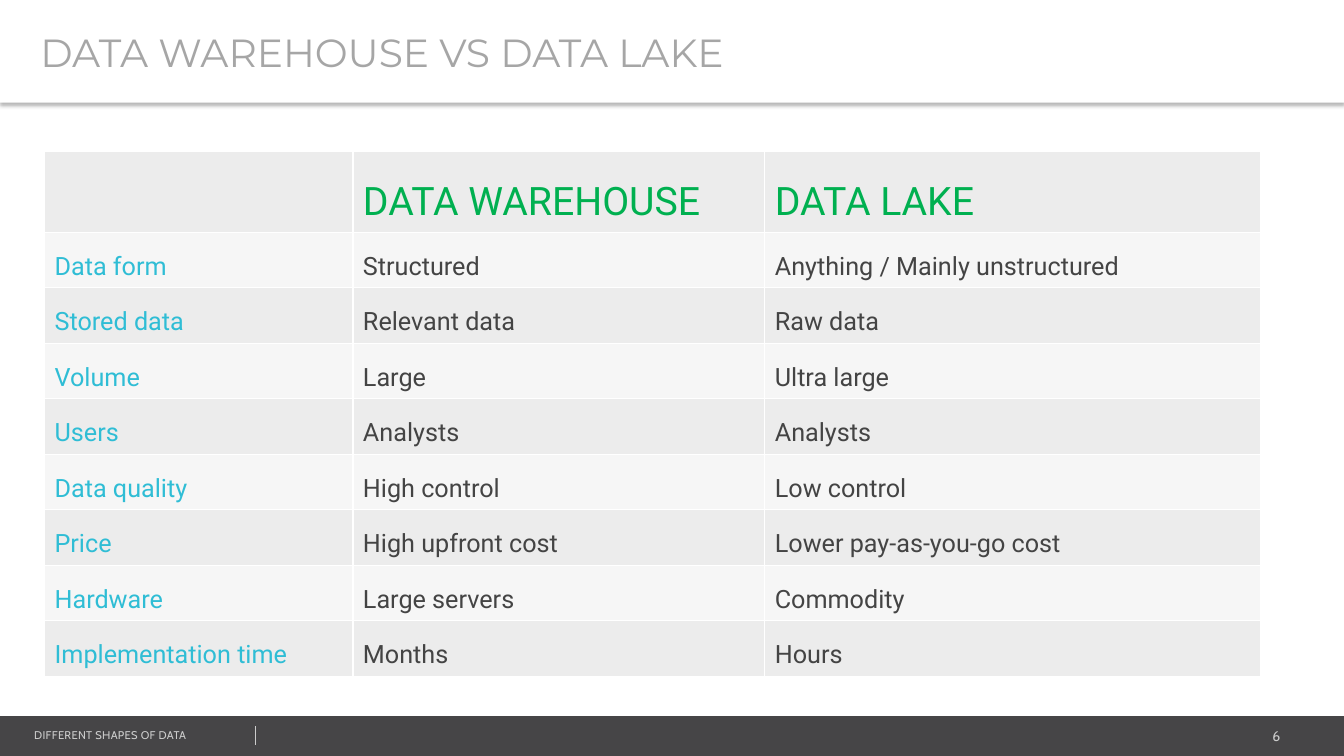
from lxml.etree import SubElement
from pptx import Presentation
from pptx.dml.color import RGBColor
from pptx.enum.shapes import MSO_CONNECTOR, MSO_SHAPE
from pptx.enum.text import MSO_ANCHOR, MSO_AUTO_SIZE, PP_ALIGN
from pptx.oxml import parse_xml
from pptx.oxml.ns import nsdecls, qn
from pptx.util import Pt

COLORS = {
    "white": "FFFFFF", "bar": "464547", "footer": "CCCCCC", "title": "A6A6A6",
    "header": "00B050", "label": "2FBDD5", "value": "444444",
    "dark_band": "ECECEC", "light_band": "F6F6F6",
}
ROWS = [
    ("", "DATA WAREHOUSE", "DATA LAKE"),
    ("Data form", "Structured", "Anything / Mainly unstructured"),
    ("Stored data", "Relevant data", "Raw data"),
    ("Volume", "Large", "Ultra large"),
    ("Users", "Analysts", "Analysts"),
    ("Data quality", "High control", "Low control"),
    ("Price", "High upfront cost", "Lower pay-as-you-go cost"),
    ("Hardware", "Large servers", "Commodity"),
    ("Implementation time", "Months", "Hours"),
]
COL_WIDTHS = [220.3, 294.2, 354]
HEADER_HEIGHT, ROW_HEIGHT = 56.4, 38.8


def rgb(name):
    return RGBColor.from_string(COLORS[name])


def write(p, text, font, size, color):
    """Add one formatted run to paragraph p and return it."""
    r = p.add_run()
    r.text = text
    for attr, value in {"name": font, "size": Pt(size), "bold": False}.items():
        setattr(r.font, attr, value)
    r.font.color.rgb = rgb(color)
    return r


prs = Presentation()
prs.slide_width, prs.slide_height = Pt(960), Pt(540)
s = prs.slides.add_slide(prs.slide_layouts[5])

# Footer bar
bar = s.shapes.add_shape(MSO_SHAPE.RECTANGLE, 0, Pt(511.6), Pt(960), Pt(28.4))
bar.shadow.inherit = False
bar.fill.solid()
bar.fill.fore_color.rgb = rgb("bar")
bar.line.fill.background()

for text, left, top, width, height, size, align, spacing in [
    ("6", 764.6, 516.2, 157, 19.4, 10, PP_ALIGN.RIGHT, 0),
    ("DIFFERENT SHAPES OF DATA", 17.3, 517, 243.4, 17.3, 8, PP_ALIGN.LEFT, 20),
]:
    sp = s.shapes.add_textbox(Pt(left), Pt(top), Pt(width), Pt(height))
    sp.text_frame.word_wrap = True
    p = sp.text_frame.paragraphs[0]
    p.alignment = align
    r = write(p, text, "Cabin", size, "footer")
    r.font._element.set("spc", str(spacing))

divider = s.shapes.add_connector(MSO_CONNECTOR.STRAIGHT, Pt(182.4), Pt(518.8), Pt(182.4), Pt(532.2))
divider.line.color.rgb = rgb("footer")
divider.line.width = Pt(0.25)
SubElement(divider._element.spPr, qn("a:effectLst"))

# Title band with a soft shadow below
title = s.shapes.title
for attr, value in {"left": 0, "top": 0, "width": 960, "height": 73.4}.items():
    setattr(title, attr, Pt(value))
title.fill.solid()
title.fill.fore_color.rgb = rgb("white")
title.line.fill.background()
title._element.spPr.append(parse_xml(
    f'<a:effectLst {nsdecls("a")}><a:outerShdw blurRad="{Pt(3.1)}" dist="{Pt(2)}" dir="5400000" '
    'algn="t" rotWithShape="0"><a:srgbClr val="000000"><a:alpha val="30000"/></a:srgbClr>'
    '</a:outerShdw></a:effectLst>'))
tf = title.text_frame
for attr, value in {
    "margin_left": Pt(28.8), "margin_right": Pt(7.2), "margin_top": Pt(3.6), "margin_bottom": Pt(3.6),
    "vertical_anchor": MSO_ANCHOR.MIDDLE, "auto_size": MSO_AUTO_SIZE.NONE, "word_wrap": True,
}.items():
    setattr(tf, attr, value)
tf.paragraphs[0].alignment = PP_ALIGN.LEFT
write(tf.paragraphs[0], "DATA WAREHOUSE VS DATA LAKE", "Montserrat", 28, "title")

# Comparison table
table_height = HEADER_HEIGHT + ROW_HEIGHT * (len(ROWS) - 1)
table = s.shapes.add_table(len(ROWS), len(COL_WIDTHS), Pt(31.8), Pt(108.3),
                           Pt(sum(COL_WIDTHS)), Pt(table_height)).table
table.first_row = table.horz_banding = False
for col, width in zip(table.columns, COL_WIDTHS):
    col.width = Pt(width)

for i, texts in enumerate(ROWS):
    table.rows[i].height = Pt(ROW_HEIGHT if i else HEADER_HEIGHT)
    for j, text in enumerate(texts):
        cell = table.cell(i, j)
        cell.fill.solid()
        cell.fill.fore_color.rgb = rgb("light_band" if i % 2 else "dark_band")
        for k, side in enumerate(["lnL", "lnR", "lnT", "lnB"]):
            cell._tc.tcPr.insert(k, parse_xml(
                f'<a:{side} {nsdecls("a")} w="{Pt(1)}"><a:solidFill>'
                f'<a:srgbClr val="{COLORS["white"]}"/></a:solidFill></a:{side}>'))
        if text:
            p = cell.text_frame.paragraphs[0]
            p.line_spacing = 1.5
            color = "header" if i == 0 else "value" if j else "label"
            write(p, text, "Roboto", 18 if i else 28, color)

prs.save("out.pptx")
